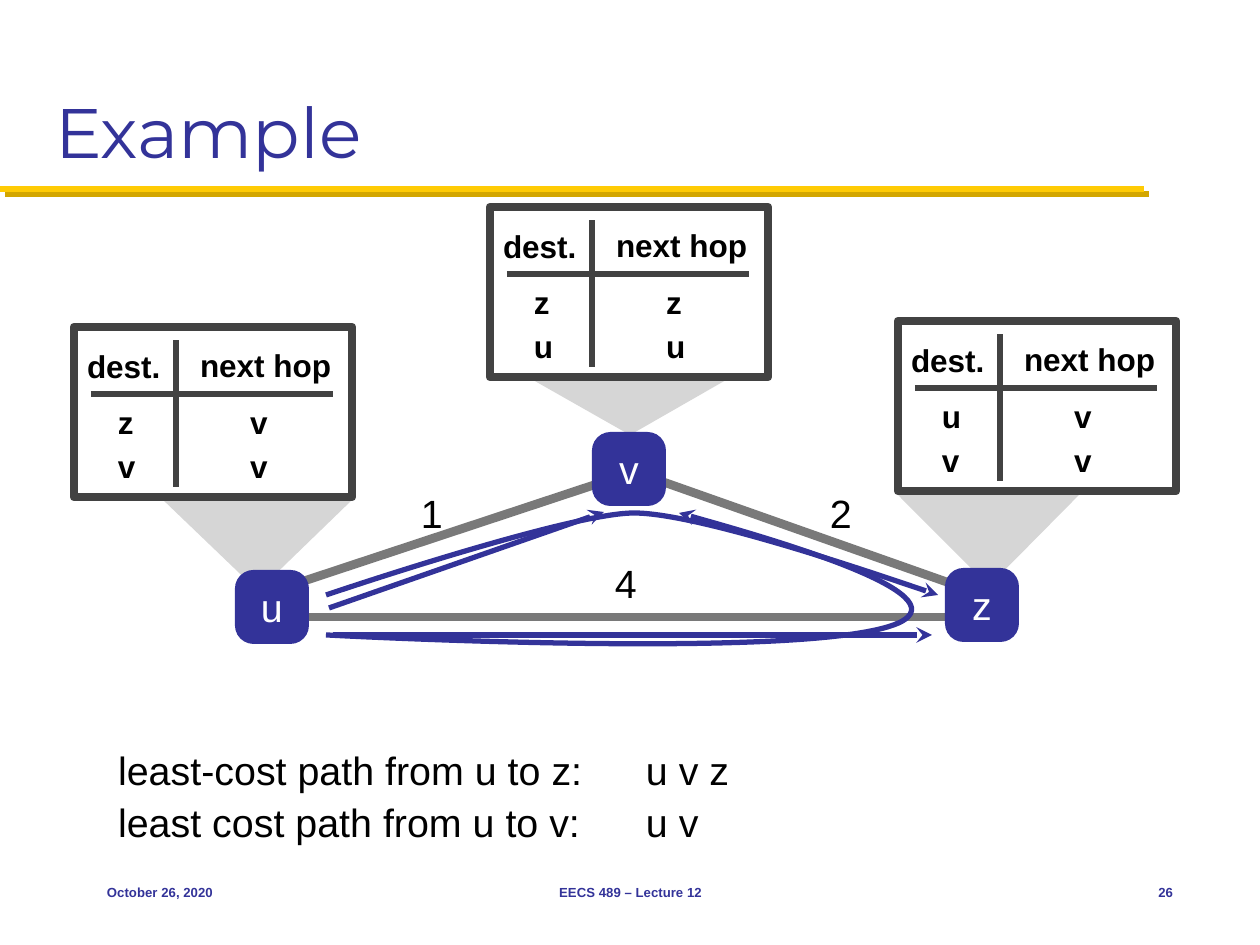
"""Build the slide showing forwarding tables for a three-node network."""
import pptx
import pptx.util
import pptx.dml.color
import pptx.enum.shapes
import pptx.enum.text
import pptx.oxml
import pptx.oxml.ns
import lxml.etree

PX = 914400 / 126
COLORS = {"navy": "333399", "gold": "FFCB05", "shadow": "D3A600", "frame": "424242",
          "link": "797979", "wedge": "D6D6D6", "black": "000000", "white": "FFFFFF"}
SHAPE = pptx.enum.shapes.MSO_SHAPE
ANCHOR = pptx.enum.text.MSO_ANCHOR
ALIGN = pptx.enum.text.PP_ALIGN
qn = pptx.oxml.ns.qn


def write(s, text, size, color="black", bold=False, align=ALIGN.LEFT,
          anchor=ANCHOR.MIDDLE, inset=(5, 5), font="Arial"):
    tf = s.text_frame
    tf.word_wrap = True
    tf.vertical_anchor = anchor
    tf.margin_left = tf.margin_right = int(inset[0] * PX)
    tf.margin_top = tf.margin_bottom = int(inset[1] * PX)
    tf.text = text
    p = tf.paragraphs[0]
    p.alignment = align
    r = p.runs[0]
    r.font.name = font
    r.font.size = pptx.util.Pt(size)
    r.font.bold = bold
    r.font.color.rgb = pptx.dml.color.RGBColor.from_string(COLORS[color])


def stroke(s, color, width, arrow=False):
    s.line.color.rgb = pptx.dml.color.RGBColor.from_string(COLORS[color])
    s.line.width = pptx.util.Pt(width)
    sppr = s._element.spPr
    if arrow:
        lxml.etree.SubElement(sppr.find(qn("a:ln")), qn("a:tailEnd"), type="stealth")
    return lxml.etree.SubElement(sppr, qn("a:effectLst"))


prs = pptx.Presentation()
prs.slide_width = int(1260 * PX)
prs.slide_height = int(945 * PX)
shapes = prs.slides.add_slide(prs.slide_layouts[6]).shapes

rule = shapes.add_connector(1, 0, int(189 * PX), int(1144 * PX), int(189 * PX))
effects = stroke(rule, "gold", 3.5)
shadow = lxml.etree.SubElement(effects, qn("a:outerShdw"), dist="53340", dir="2700000",
                               algn="ctr", rotWithShape="0")
lxml.etree.SubElement(shadow, qn("a:srgbClr"), val=COLORS["shadow"])

wedges = [[(897, 494), (1080, 494), (989, 586)],
          [(533, 380), (726, 380), (630, 435)],
          [(161, 498), (354, 498), (258, 591)]]
for wedge in wedges:
    fb = shapes.build_freeform(*wedge[0], scale=PX)
    fb.add_line_segments(wedge[1:], close=True)
    s = fb.convert_to_shape()
    s.shadow.inherit = False
    s.fill.solid()
    s.fill.fore_color.rgb = pptx.dml.color.RGBColor.from_string(COLORS["wedge"])
    s.line.fill.background()

links = [(612, 479, 295, 584), (304, 617, 974, 617), (655, 479, 975, 592)]
for link in links:
    s = shapes.add_connector(1, *[int(v * PX) for v in link])
    stroke(s, "link", 5)

for name, x, y in [("v", 592, 432), ("u", 235, 570), ("z", 945, 568)]:
    s = shapes.add_shape(SHAPE.ROUNDED_RECTANGLE, *[int(v * PX) for v in (x, y, 74, 74)])
    s.adjustments[0] = 0.25
    s.shadow.inherit = False
    s.fill.solid()
    s.fill.fore_color.rgb = pptx.dml.color.RGBColor.from_string(COLORS["navy"])
    s.line.fill.background()
    write(s, name, 22.5, "white", align=ALIGN.CENTER, inset=(0, 0))

labels = [("4", 610, 554, 37), ("1", 416, 484, 37), ("2", 825, 484, 37),
          ("least-cost path from u to z:", 113, 741, 510), ("u v z", 641, 741, 113),
          ("least cost path from u to v:", 113, 793, 510), ("u v", 641, 793, 74)]
for text, x, y, w in labels:
    s = shapes.add_textbox(*[int(v * PX) for v in (x, y, w, 58)])
    write(s, text, 22.5)

tables = [(490, 207, [("z", "z"), ("u", "u")]),
          (74, 327, [("z", "v"), ("v", "v")]),
          (898, 321, [("u", "v"), ("v", "v")])]
for left, top, rows in tables:
    s = shapes.add_shape(SHAPE.RECTANGLE, *[int(v * PX) for v in (left, top, 278, 170)])
    s.fill.background()
    stroke(s, "frame", 5)
    for x1, y1, x2, y2 in [(17, 67, 259, 67), (102, 160, 102, 13)]:
        ends = (left + x1, top + y1, left + x2, top + y2)
        s = shapes.add_connector(1, *[int(v * PX) for v in ends])
        stroke(s, "frame", 3)
    cells = [("dest.", 8, 10, 196, 58), ("next hop", 121, 9, 155, 58)]
    for i, (dest, hop) in enumerate(rows):
        y = 63 + 44 * i
        cells += [(dest, 39, y, 62, 64), (hop, 171, y, 33, 64)]
    for text, x, y, w, h in cells:
        s = shapes.add_textbox(*[int(v * PX) for v in (left + x, top + y, w, h)])
        write(s, text, 18, bold=True)

for route in [(333, 635, 932, 635), (329, 608, 604, 512)]:
    s = shapes.add_connector(1, *[int(v * PX) for v in route])
    stroke(s, "navy", 3, arrow=True)

curves = [[(326, 595), (326, 595), (568, 513), (634, 513),
           (699, 513), (938, 595), (938, 595)],
          [(326, 635), (326, 635), (862, 664), (908, 617),
           (941, 585), (679, 513), (679, 513)]]
for curve in curves:
    fb = shapes.build_freeform(*curve[0], scale=PX)
    fb.add_line_segments(curve[1:], close=False)
    s = fb.convert_to_shape()
    s.fill.background()
    stroke(s, "navy", 3, arrow=True)
    outline = next(s._element.iter(qn("a:path")))
    segments = outline.findall(qn("a:lnTo"))
    for i in range(0, len(segments), 3):
        bezier = lxml.etree.SubElement(outline, qn("a:cubicBezTo"))
        for segment in segments[i:i + 3]:
            bezier.append(segment[0])
            outline.remove(segment)

s = shapes.add_textbox(*[int(v * PX) for v in (42, 21, 1176, 158)])
write(s, "Example", 40, "navy", anchor=ANCHOR.BOTTOM, inset=(13, 6), font="Montserrat")

footers = [("October 26, 2020", 94, 262, ALIGN.LEFT),
           ("EECS 489 – Lecture 12", 431, 399, ALIGN.CENTER),
           ("26", 1102, 84, ALIGN.RIGHT)]
for text, x, w, align in footers:
    s = shapes.add_textbox(*[int(v * PX) for v in (x, 861, w, 63)])
    write(s, text, 7.5, "navy", bold=True, align=align, inset=(13, 6))

prs.save("out.pptx")
